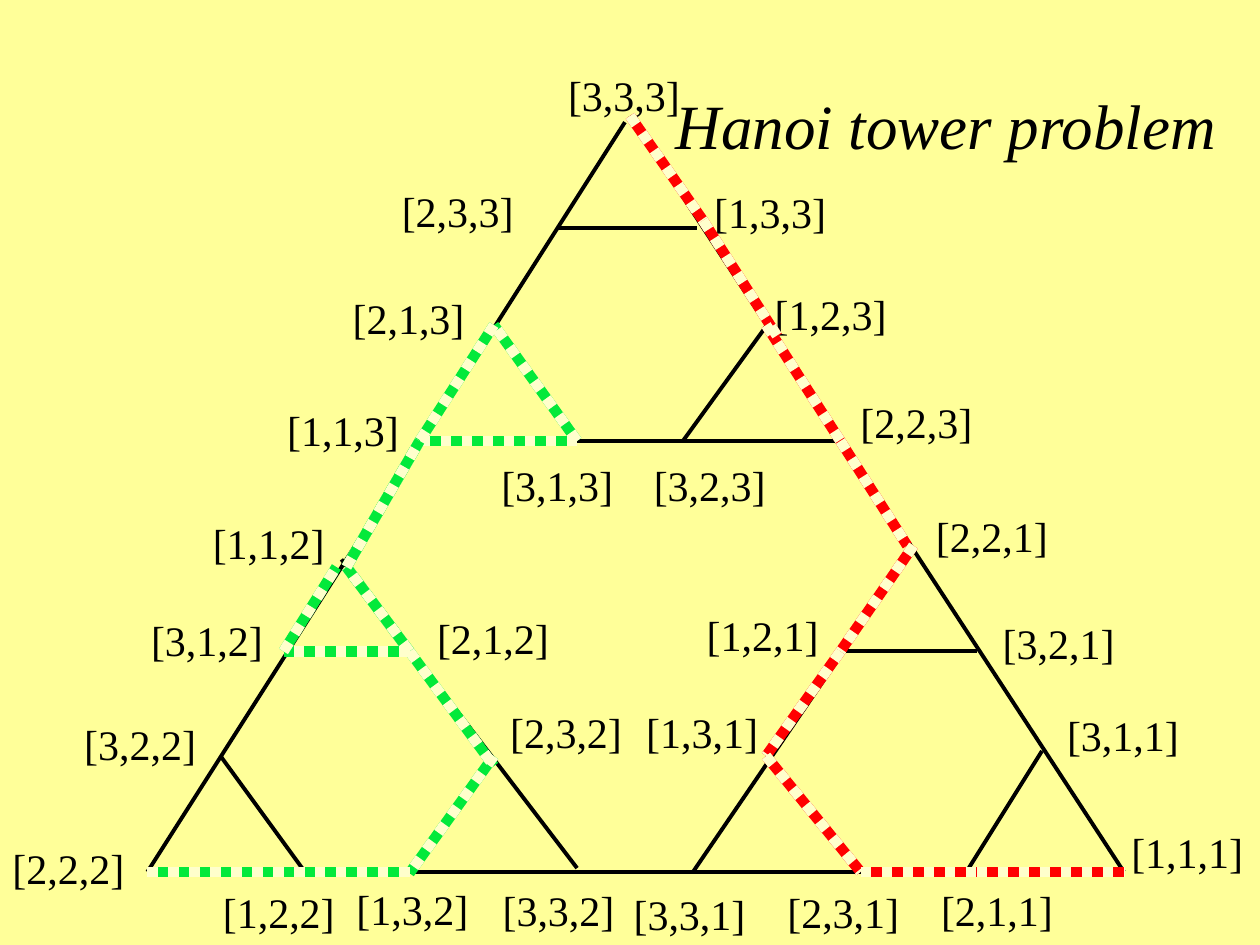
import dataclasses
import itertools

import pptx
import pptx.dml.color
import pptx.enum.dml
import pptx.enum.shapes
import pptx.enum.text
import pptx.oxml
import pptx.oxml.ns
import pptx.util
from pptx.util import Inches


@dataclasses.dataclass(frozen=True)
class Theme:
    font: str = "Times New Roman"
    background: str = "FFFF99"
    ink: str = "000000"
    dots: str = "FFFFCC"
    short_route: str = "FF0000"
    long_route: str = "03E93A"
    title_size: int = 36
    label_size: int = 24
    edge_width: float = 2.25
    route_width: float = 6


THEME = Theme()
TITLE_ONLY = 5
LABEL_WIDTH, LABEL_HEIGHT = 1.12, 0.5

# Each edge is (x1, y1, x2, y2) in inches.
GRAPH_EDGES = [
    (4.96, 0.97, 1.17, 6.92), (1.17, 6.92, 8.92, 6.92), (5, 0.92, 8.92, 6.92),
    (4.43, 1.81, 5.53, 1.81), (1.75, 6, 2.42, 6.92), (8.27, 5.96, 7.67, 6.92),
    (3.33, 3.5, 6.67, 3.5), (7.22, 4.4, 5.5, 6.92), (2.71, 4.44, 4.58, 6.89),
    (6.67, 5.17, 7.75, 5.17), (6.08, 6, 6.83, 6.92), (3.92, 2.59, 4.58, 3.5),
    (6.08, 2.59, 5.42, 3.5), (2.25, 5.17, 3.25, 5.17), (3.92, 6, 3.33, 6.85),
]

# Each path is a chain of points; small offsets separate one chain from the next.
SHORT_ROUTE = [
    [(5, 0.92), (5.58, 1.75), (6.17, 2.67)],
    [(6.08, 2.58), (6.67, 3.5), (7.2, 4.33)],
    [(7.25, 4.33), (6.67, 5.17), (6.08, 6), (6.83, 6.92), (7.75, 6.92), (8.92, 6.92)],
]
LONG_ROUTE = [
    [(3.92, 6), (3.25, 6.93)],
    [(3.25, 6.92), (2.42, 6.92), (1.17, 6.92)],
    [(2.75, 4.5), (3.25, 5.17), (3.92, 6.08)],
    [(4.58, 3.5), (3.92, 2.58), (3.33, 3.5), (2.75, 4.5)],
    [(3.33, 3.5), (4.58, 3.5)],
]
DETOUR = [
    [(2.75, 4.5), (3.33, 3.5)],
    [(2.25, 5.17), (2.67, 4.5)],
    [(3.25, 5.17), (2.25, 5.17)],
    [(3.25, 5.17), (2.75, 4.5)],
]

# Peg of each disc, and the left and top of its label.
STATES = {
    (3, 3, 3): (4.41, 0.5), (3, 2, 1): (7.86, 4.85), (1, 3, 3): (5.57, 1.43),
    (1, 2, 3): (6.05, 2.24), (2, 2, 3): (6.73, 3.1), (2, 2, 1): (7.33, 4),
    (3, 1, 1): (8.37, 5.58), (1, 1, 1): (8.88, 6.51), (2, 3, 3): (3.09, 1.42),
    (2, 1, 3): (2.7, 2.27), (1, 1, 3): (2.18, 3.16), (3, 1, 3): (3.88, 3.6),
    (3, 2, 3): (5.09, 3.6), (2, 2, 2): (0, 6.64), (3, 2, 2): (0.57, 5.65),
    (1, 1, 2): (1.59, 4.06), (3, 1, 2): (1.1, 4.83), (3, 3, 2): (3.89, 6.97),
    (3, 3, 1): (4.93, 7), (2, 3, 1): (6.15, 6.99), (2, 1, 1): (7.37, 6.97),
    (1, 2, 2): (1.67, 6.99), (1, 3, 2): (2.73, 6.96), (2, 3, 2): (3.95, 5.56),
    (2, 1, 2): (3.37, 4.81), (1, 2, 1): (5.51, 4.79), (1, 3, 1): (5.03, 5.56),
}


def rgb(color):
    return pptx.dml.color.RGBColor.from_string(color)


def write_text(shape, text, *, size, italic=False,
               align=pptx.enum.text.PP_ALIGN.LEFT,
               anchor=pptx.enum.text.MSO_ANCHOR.TOP):
    frame = shape.text_frame
    frame.word_wrap = True
    frame.vertical_anchor = anchor
    para = frame.paragraphs[0]
    para.alignment = align
    span = para.add_run()
    span.text = text
    span.font.name = THEME.font
    span.font.size = pptx.util.Pt(size)
    span.font.italic = italic
    span.font.color.rgb = rgb(THEME.ink)


def add_title(slide, text):
    title = slide.shapes.title
    title.left, title.top = Inches(1.25), Inches(0.38)
    title.width, title.height = Inches(8.5), Inches(1.21)
    write_text(title, text, size=THEME.title_size, italic=True,
               align=pptx.enum.text.PP_ALIGN.RIGHT,
               anchor=pptx.enum.text.MSO_ANCHOR.MIDDLE)


def add_state_label(slide, pegs, left, top):
    box = slide.shapes.add_textbox(Inches(left), Inches(top),
                                   Inches(LABEL_WIDTH), Inches(LABEL_HEIGHT))
    text = "[" + ",".join(str(peg) for peg in pegs) + "]"
    write_text(box, text, size=THEME.label_size)


def add_edge(slide, start, end, color, width, dotted=False):
    edge = slide.shapes.add_connector(
        pptx.enum.shapes.MSO_CONNECTOR.STRAIGHT,
        *(Inches(value) for value in (*start, *end)))
    edge.line.color.rgb = rgb(color)
    edge.line.width = pptx.util.Pt(width)
    if dotted:
        edge.line.dash_style = pptx.enum.dml.MSO_LINE.ROUND_DOT
    edge.element.spPr.append(
        pptx.oxml.parse_xml(f"<a:effectLst {pptx.oxml.ns.nsdecls('a')}/>"))


def add_route(slide, chains, color):
    """Draw solid edges, then pale dots over all of them."""
    edges = [pair for chain in chains for pair in itertools.pairwise(chain)]
    for layer_color, dotted in ((color, False), (THEME.dots, True)):
        for start, end in edges:
            add_edge(slide, start, end, layer_color, THEME.route_width, dotted)


def main():
    deck = pptx.Presentation()
    deck.slide_width, deck.slide_height = Inches(10), Inches(7.5)
    slide = deck.slides.add_slide(deck.slide_layouts[TITLE_ONLY])
    slide.background.fill.solid()
    slide.background.fill.fore_color.rgb = rgb(THEME.background)

    add_title(slide, "Hanoi tower problem")
    for edge in GRAPH_EDGES:
        add_edge(slide, edge[:2], edge[2:], THEME.ink, THEME.edge_width)
    for pegs, (left, top) in STATES.items():
        add_state_label(slide, pegs, left, top)
    add_route(slide, SHORT_ROUTE, THEME.short_route)
    add_route(slide, LONG_ROUTE, THEME.long_route)
    add_route(slide, DETOUR, THEME.long_route)

    deck.save("out.pptx")


if __name__ == "__main__":
    main()
